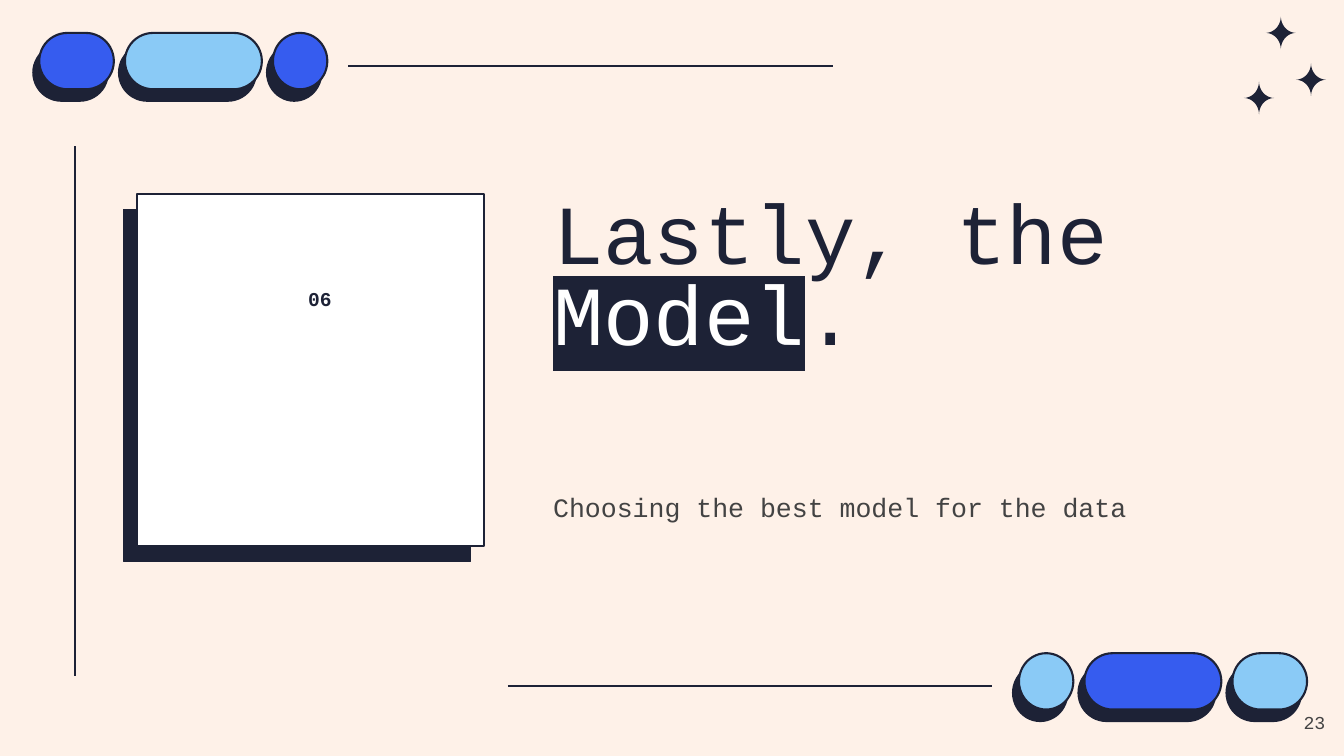
from math import copysign, cos, pi, sin

from lxml import etree
from pptx import Presentation
from pptx.dml.color import RGBColor
from pptx.enum.shapes import MSO_CONNECTOR, MSO_SHAPE
from pptx.enum.text import MSO_ANCHOR, MSO_AUTO_SIZE, PP_ALIGN
from pptx.oxml.ns import qn
from pptx.util import Cm, Pt

STRAIGHT = MSO_CONNECTOR.STRAIGHT
RECTANGLE, ROUNDED, OVAL = MSO_SHAPE.RECTANGLE, MSO_SHAPE.ROUNDED_RECTANGLE, MSO_SHAPE.OVAL
TOP, NO_FIT = MSO_ANCHOR.TOP, MSO_AUTO_SIZE.NONE
LEFT, CENTER, RIGHT = PP_ALIGN.LEFT, PP_ALIGN.CENTER, PP_ALIGN.RIGHT

CREAM = RGBColor(0xFE, 0xF1, 0xE8)
NAVY = RGBColor(0x1D, 0x22, 0x36)
BLUE = RGBColor(0x36, 0x5C, 0xEF)
SKY = RGBColor(0x8A, 0xCA, 0xF6)
WHITE = RGBColor(0xFF, 0xFF, 0xFF)
GRAY = RGBColor(0x43, 0x43, 0x43)
FONT = "Courier New"
INSET = Cm(0.33)
SHORT, LONG, ROUND = Cm(1.88), Cm(3.45), Cm(1.37)


def add_block(slide, kind, box, fill, line_width=1.5):
    """Add a filled preset shape with a navy outline."""
    block = slide.shapes.add_shape(kind, *box)
    block.shadow.inherit = False
    block.fill.solid()
    block.fill.fore_color.rgb = fill
    block.line.color.rgb = NAVY
    block.line.width = Pt(line_width)
    if kind == ROUNDED:
        block.adjustments[0] = 0.5


def add_rule(slide, start, end):
    """Draw a thin navy line between two points."""
    rule = slide.shapes.add_connector(STRAIGHT, *start, *end)
    rule.line.color.rgb = NAVY
    rule.line.width = Pt(1.5)
    etree.SubElement(rule._element.spPr, qn("a:effectLst"))


def add_pills(slide, left, top, pills):
    """Lay out a row of pills, each with an offset navy block behind it."""
    height, gap = Cm(1.42), Cm(0.28)
    placed = []
    for width, color in pills:
        placed.append((OVAL if width == ROUND else ROUNDED, left, width, color))
        left += width + gap
    for kind, x, width, _ in placed:
        add_block(slide, kind, (x - Cm(0.15), top + Cm(0.29), width, height), NAVY)
    for kind, x, width, color in placed:
        add_block(slide, kind, (x, top, width, height), color)


def add_star(slide, center_x, center_y):
    """Draw a four-pointed star with inward-curving sides."""
    def bend(value):
        return copysign(abs(value) ** 3.5, value)

    steps = 64
    points = [(center_x + int(Cm(0.38) * bend(cos(2 * pi * i / steps))),
               center_y + int(Cm(0.41) * bend(sin(2 * pi * i / steps))))
              for i in range(steps)]
    outline = slide.shapes.build_freeform(*points[0])
    outline.add_line_segments(points[1:], close=True)
    star = outline.convert_to_shape()
    star.shadow.inherit = False
    star.fill.solid()
    star.fill.fore_color.rgb = NAVY
    star.line.fill.background()


def write(holder, box, runs, size, align=LEFT, inset=INSET, spacing=1.0, bold=False):
    """Place a text holder and fill it with (text, color, highlight) runs."""
    holder.left, holder.top, holder.width, holder.height = box
    frame = holder.text_frame
    frame.word_wrap = True
    frame.auto_size = NO_FIT
    frame.vertical_anchor = TOP
    frame.margin_left = frame.margin_right = inset
    frame.margin_top = frame.margin_bottom = inset
    paragraph = frame.paragraphs[0]
    paragraph.alignment = align
    paragraph.line_spacing = spacing
    for text, color, highlight in runs:
        run = paragraph.add_run()
        run.text = text
        run.font.name = FONT
        run.font.size = Pt(size)
        run.font.bold = bold
        run.font.color.rgb = color
        if highlight is not None:
            marker = etree.Element(qn("a:highlight"))
            etree.SubElement(marker, qn("a:srgbClr"), val=str(highlight))
            run._r.rPr.find(qn("a:solidFill")).addnext(marker)


def add_text(slide, box, text, color, size, **options):
    """Add a text box holding one run."""
    write(slide.shapes.add_textbox(*box), box, [(text, color, None)], size, **options)


def add_decoration(slide):
    """Place the stars, rules and pill rows around the slide edges."""
    for x, y in ((31.73, 2.47), (32.28, 0.83), (33.04, 2.01)):
        add_star(slide, Cm(x), Cm(y))
    add_rule(slide, (Cm(1.9), Cm(3.68)), (Cm(1.9), Cm(17.04)))
    add_rule(slide, (Cm(8.78), Cm(1.67)), (Cm(20.98), Cm(1.67)))
    add_rule(slide, (Cm(12.8), Cm(17.28)), (Cm(25), Cm(17.28)))
    add_pills(slide, Cm(0.99), Cm(0.83), [(SHORT, BLUE), (LONG, SKY), (ROUND, BLUE)])
    add_pills(slide, Cm(25.68), Cm(16.46), [(ROUND, SKY), (LONG, BLUE), (SHORT, SKY)])


def add_number_card(slide, left, top, number):
    """Add the white section card with its navy backing."""
    width, height = Cm(8.75), Cm(8.87)
    backing = (left - Cm(0.34), top + Cm(0.38), width, height)
    add_block(slide, RECTANGLE, backing, NAVY, 0.75)
    add_block(slide, RECTANGLE, (left, top, width, height), WHITE)
    number_box = (left + Cm(1.09), top + Cm(2.21), Cm(7.04), Cm(4.83))
    add_text(slide, number_box, number, NAVY, 14, align=CENTER, inset=Cm(0.13), bold=True)


def add_heading(slide, left, top):
    """Fill the section title and the line below it."""
    title_runs = [("Lastly, the ", NAVY, None), ("Model", WHITE, NAVY), (".", NAVY, None)]
    write(slide.shapes.title, (left, top, Cm(19.6), Cm(5.74)), title_runs, 60, spacing=0.8)
    add_text(slide, (left, top + Cm(7.19), Cm(17.58), Cm(2.11)),
             "Choosing the best model for the data", GRAY, 19, spacing=1.15)


def main():
    """Build and save the section slide."""
    deck = Presentation()
    deck.slide_width, deck.slide_height = Cm(33.87), Cm(19.05)
    slide = deck.slides.add_slide(deck.slide_layouts[5])
    slide.background.fill.solid()
    slide.background.fill.fore_color.rgb = CREAM
    add_decoration(slide)
    add_heading(slide, Cm(13.61), Cm(4.72))
    add_text(slide, (Cm(31.7), Cm(17.6), Cm(2.03), Cm(1.45)), "23", GRAY, 13, align=RIGHT)
    add_number_card(slide, Cm(3.45), Cm(4.9), "06")
    deck.save("out.pptx")


if __name__ == "__main__":
    main()
